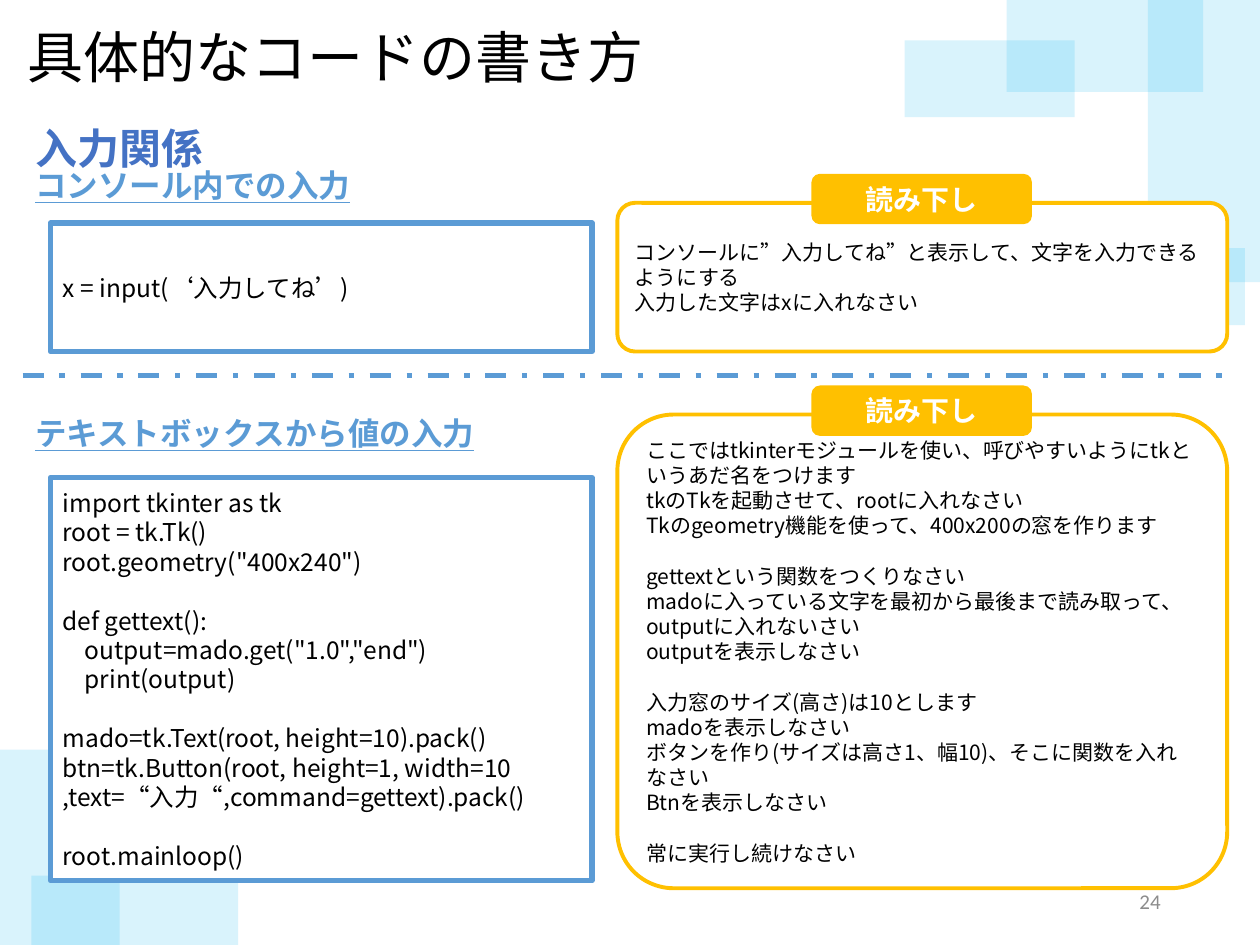
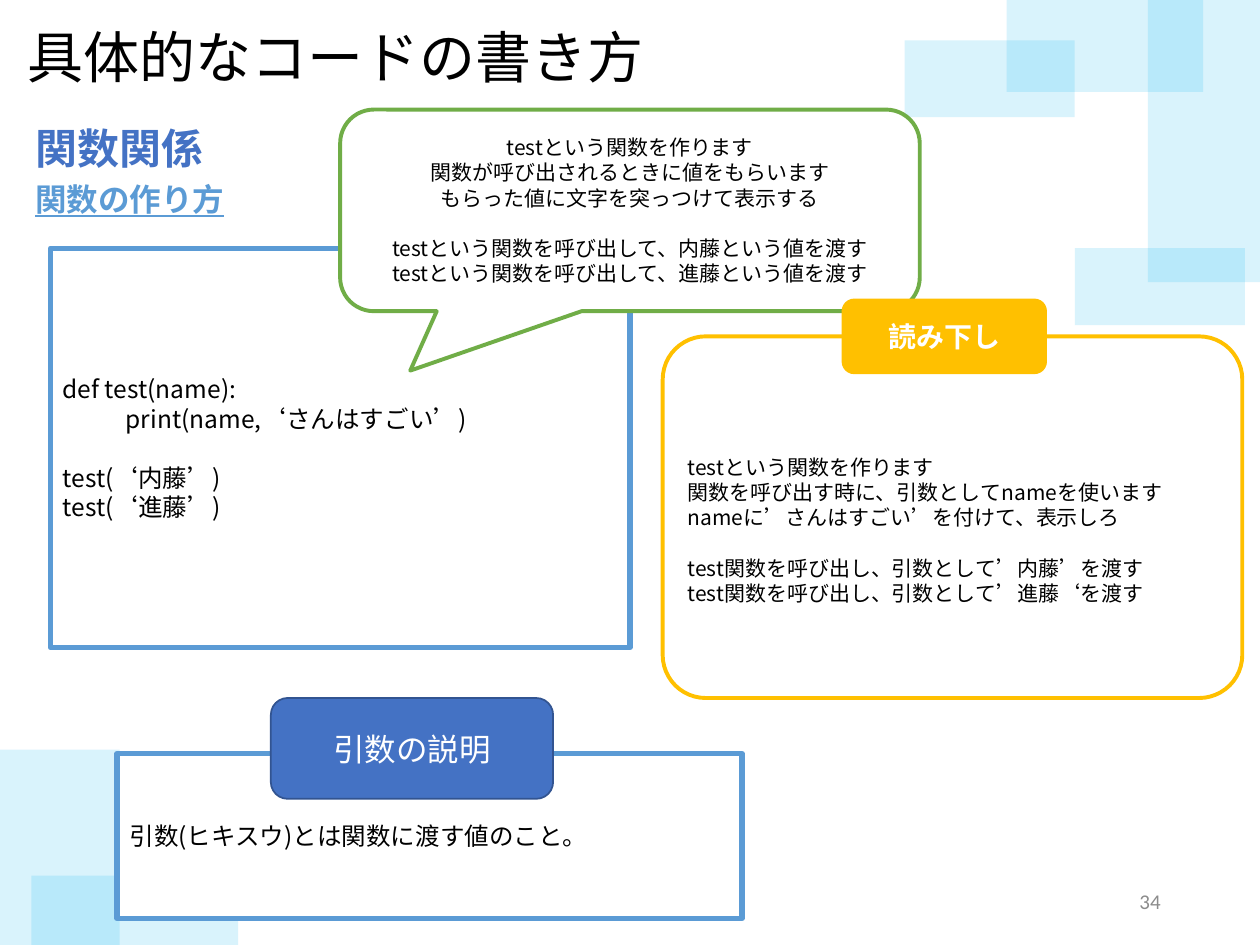
from dataclasses import dataclass, replace
from typing import Any, NamedTuple, Optional

from lxml import etree
from pptx import Presentation
from pptx import util as u
from pptx.dml.color import RGBColor
from pptx.enum import dml, shapes, text
from pptx.oxml import ns

COLUMNS, ROWS = 100, 75
SLIDE_WIDTH, SLIDE_HEIGHT = u.Inches(10), u.Inches(7.5)

WHITE = RGBColor(0xFF, 0xFF, 0xFF)
BLACK = RGBColor(0x00, 0x00, 0x00)
GRAY = RGBColor(0x8C, 0x8C, 0x8C)
SKY = RGBColor(0x00, 0xB0, 0xF0)
BLUE = RGBColor(0x5B, 0x9B, 0xD5)
INDIGO = RGBColor(0x44, 0x72, 0xC4)
NAVY = RGBColor(0x32, 0x54, 0x91)
GOLD = RGBColor(0xFF, 0xC0, 0x00)
GREEN = RGBColor(0x70, 0xAD, 0x47)

JAPANESE, LATIN = "Noto Sans CJK JP", "Calibri"
LEADING = 1.2
CODE_TAB = u.Inches(0.5)
BAND_ALPHA = "15000"
BADGE_LABEL = "読み下し"
TITLE = "具体的なコードの書き方"
READING_ROUNDING = (0.119,)

RECT = shapes.MSO_SHAPE.RECTANGLE
ROUNDED = shapes.MSO_SHAPE.ROUNDED_RECTANGLE
CALLOUT = shapes.MSO_SHAPE.ROUNDED_RECTANGULAR_CALLOUT
LEFT, CENTER, RIGHT = text.PP_ALIGN.LEFT, text.PP_ALIGN.CENTER, text.PP_ALIGN.RIGHT
TOP, MIDDLE = text.MSO_ANCHOR.TOP, text.MSO_ANCHOR.MIDDLE


class Box(NamedTuple):
    column: float
    row: float
    columns: float
    rows: float

    def emu(self) -> tuple[int, int, int, int]:
        return (across(self.column), down(self.row), across(self.columns), down(self.rows))


@dataclass(frozen=True)
class TextLook:
    size: float
    color: RGBColor = BLACK
    bold: bool = False
    underline: bool = False
    align: Any = LEFT
    anchor: Any = MIDDLE
    font: str = JAPANESE
    spacing: float = 1


@dataclass(frozen=True)
class PanelLook:
    outline: Any
    fill: RGBColor
    words: TextLook
    line: Optional[RGBColor] = None
    width: float = 0
    adjustments: tuple[float, ...] = ()


TITLE_TEXT = TextLook(32, anchor=TOP)
SECTION_TEXT = TextLook(24, INDIGO, bold=True, anchor=TOP, spacing=1.5)
TOPIC_TEXT = TextLook(18, BLUE, bold=True, underline=True, anchor=TOP)
NUMBER_TEXT = TextLook(12, GRAY, align=RIGHT, font=LATIN)
CODE_TEXT = TextLook(14)
READING_TEXT = TextLook(12)

CODE = PanelLook(RECT, WHITE, CODE_TEXT, BLUE, 3)
READING = PanelLook(ROUNDED, WHITE, READING_TEXT, GOLD, 2.25, READING_ROUNDING)
BADGE = PanelLook(ROUNDED, GOLD, TextLook(16, WHITE, bold=True, align=CENTER))
SPEECH = PanelLook(CALLOUT, WHITE, replace(READING_TEXT, align=CENTER), GREEN, 2.25,
                   (-0.379, 0.795, 0.167))
TERM = PanelLook(ROUNDED, INDIGO, TextLook(18, WHITE, align=CENTER, font=LATIN), NAVY, 1)

BANDS = (
    Box(85.3, 19.7, 13.5, 6.1),
    Box(91.1, 0, 8.9, 22.4),
    Box(79.9, -0.1, 15.6, 7.4),
    Box(71.8, 3.2, 13.5, 6.1),
    Box(0, 59.5, 9.5, 15.5),
    Box(2.5, 69.5, 16.4, 5.5),
)

CONSOLE_CODE = "x = input(‘入力してね’)"
CONSOLE_READING = """コンソールに”入力してね”と表示して、文字を入力できるようにする
入力した文字はxに入れなさい"""

WINDOW_CODE = """import tkinter as tk
root = tk.Tk()
root.geometry("400x240")

def gettext():
    output=mado.get("1.0","end")
    print(output)

mado=tk.Text(root, height=10).pack()
btn=tk.Button(root, height=1, width=10
,text=“入力“,command=gettext).pack()

root.mainloop()"""
WINDOW_READING = """ここではtkinterモジュールを使い、呼びやすいようにtkというあだ名をつけます
tkのTkを起動させて、rootに入れなさい
Tkのgeometry機能を使って、400x200の窓を作ります

gettextという関数をつくりなさい
madoに入っている文字を最初から最後まで読み取って、outputに入れないさい
outputを表示しなさい

入力窓のサイズ(高さ)は10とします
madoを表示しなさい
ボタンを作り(サイズは高さ1、幅10)、そこに関数を入れなさい
Btnを表示しなさい

常に実行し続けなさい"""

FUNCTION_CODE = """def test(name):
\tprint(name,‘さんはすごい’)

test(‘内藤’)
test(‘進藤’)"""
FUNCTION_SPEECH = """testという関数を作ります
関数が呼び出されるときに値をもらいます
もらった値に文字を突っつけて表示する

testという関数を呼び出して、内藤という値を渡す
testという関数を呼び出して、進藤という値を渡す"""
FUNCTION_READING = """testという関数を作ります
関数を呼び出す時に、引数としてnameを使います
nameに’さんはすごい’を付けて、表示しろ

test関数を呼び出し、引数として’内藤’を渡す
test関数を呼び出し、引数として’進藤‘を渡す"""


def across(columns: float) -> int:
    return round(SLIDE_WIDTH * columns / COLUMNS)


def down(rows: float) -> int:
    return round(SLIDE_HEIGHT * rows / ROWS)


def assign(target: Any, values: dict[str, Any]) -> None:
    for attribute, value in values.items():
        setattr(target, attribute, value)


def write(frame: Any, words: str, look: TextLook) -> None:
    assign(frame, {"word_wrap": True, "vertical_anchor": look.anchor})
    line_height = u.Pt(look.size * LEADING * look.spacing)
    paragraph, gap = frame.paragraphs[0], False
    for number, line in enumerate(words.split("\n")):
        if not line:
            gap = True
            continue
        if number:
            paragraph = frame.add_paragraph()
        assign(paragraph, {"alignment": look.align, "line_spacing": line_height})
        if gap:
            paragraph.space_before = line_height
        gap = False
        if "\t" in line:
            tabs = etree.SubElement(paragraph._p.get_or_add_pPr(), ns.qn("a:tabLst"))
            etree.SubElement(tabs, ns.qn("a:tab"), pos=str(int(CODE_TAB)), algn="l")
        run = paragraph.add_run()
        run.text = line
        assign(run.font, {"name": look.font, "size": u.Pt(look.size),
                          "bold": look.bold, "underline": look.underline})
        run.font.color.rgb = look.color
        east_asian = etree.SubElement(run._r.get_or_add_rPr(), ns.qn("a:ea"))
        east_asian.set("typeface", JAPANESE)


def add_label(slide: Any, box: Box, words: str, look: TextLook) -> None:
    write(slide.shapes.add_textbox(*box.emu()).text_frame, words, look)


def add_filled(canvas: Any, outline: Any, box: Box, fill: RGBColor) -> Any:
    block = canvas.add_shape(outline, *box.emu())
    block.shadow.inherit = False
    block.fill.solid()
    block.fill.fore_color.rgb = fill
    return block


def add_panel(canvas: Any, box: Box, words: str, look: PanelLook) -> Any:
    panel = add_filled(canvas, look.outline, box, look.fill)
    if look.line is None:
        panel.line.fill.background()
    else:
        panel.line.color.rgb = look.line
        panel.line.width = u.Pt(look.width)
    for index, value in enumerate(look.adjustments):
        panel.adjustments[index] = value
    write(panel.text_frame, words, look.words)
    return panel


def add_reading(slide: Any, box: Box, badge: Box, words: str) -> Any:
    group = slide.shapes.add_group_shape()
    reading = add_panel(group.shapes, box, words, READING)
    add_panel(group.shapes, badge, BADGE_LABEL, BADGE)
    return reading


def add_bands(slide: Any) -> None:
    for box in BANDS:
        band = add_filled(slide.shapes, RECT, box, SKY)
        band.line.fill.background()
        color = band._element.spPr.find(".//" + ns.qn("a:srgbClr"))
        etree.SubElement(color, ns.qn("a:alpha"), val=BAND_ALPHA)


def add_divider(slide: Any, row: float) -> None:
    divider = slide.shapes.add_connector(
        shapes.MSO_CONNECTOR.STRAIGHT, across(1.8), down(row), across(98.2), down(row))
    divider.line.color.rgb = BLUE
    assign(divider.line, {"width": u.Pt(3), "dash_style": dml.MSO_LINE.DASH_DOT})
    etree.SubElement(divider._element.spPr, ns.qn("a:effectLst"))


def start_slide(deck: Any, section: str, number: int) -> Any:
    slide = deck.slides.add_slide(deck.slide_layouts[6])
    add_bands(slide)
    add_label(slide, Box(70.6, 69.5, 22.5, 4), str(number), NUMBER_TEXT)
    add_label(slide, Box(1.8, 7.2, 51.8, 6.6), section, SECTION_TEXT)
    add_label(slide, Box(1.2, 1.3, 63.7, 6.4), TITLE, TITLE_TEXT)
    return slide


def add_topic(slide: Any, row: float, words: str) -> None:
    add_label(slide, Box(1.8, row, 39.5, 4), words, TOPIC_TEXT)


def build_input_slide(deck: Any) -> None:
    slide = start_slide(deck, "入力関係", 24)
    add_panel(slide.shapes, Box(4, 17.7, 43, 10.2), CONSOLE_CODE, CODE)
    add_panel(slide.shapes, Box(4, 37.9, 43, 32), WINDOW_CODE, CODE)
    add_divider(slide, 29.8)
    for row, rows, badge_row, words in ((16.1, 11.8, 13.8, CONSOLE_READING),
                                        (32.9, 37.6, 30.6, WINDOW_READING)):
        add_reading(slide, Box(49, row, 48.4, rows), Box(64.4, badge_row, 17.5, 4), words)
    add_topic(slide, 12.7, "コンソール内での入力")
    add_topic(slide, 32.4, "テキストボックスから値の入力")


def build_function_slide(deck: Any) -> None:
    slide = start_slide(deck, "関数関係", 34)
    add_topic(slide, 13.8, "関数の作り方")
    add_panel(slide.shapes, Box(4, 19.7, 46, 31.7), FUNCTION_CODE, CODE)
    add_panel(slide.shapes, Box(27, 8.7, 46, 16), FUNCTION_SPEECH, SPEECH)
    add_panel(slide.shapes, Box(9.3, 59.8, 49.6, 13.1),
              "引数(ヒキスウ)とは関数に渡す値のこと。", CODE)
    add_panel(slide.shapes, Box(21.5, 55.4, 22.4, 8), "引数の説明", TERM)
    reading = add_reading(slide, Box(52.6, 26.7, 46, 28.7),
                          Box(66.8, 23.7, 16.3, 6), FUNCTION_READING)
    reading.text_frame.margin_top = down(2.5)


def main() -> None:
    deck = Presentation()
    assign(deck, {"slide_width": SLIDE_WIDTH, "slide_height": SLIDE_HEIGHT})
    build_input_slide(deck)
    build_function_slide(deck)
    deck.save("out.pptx")


if __name__ == "__main__":
    main()
